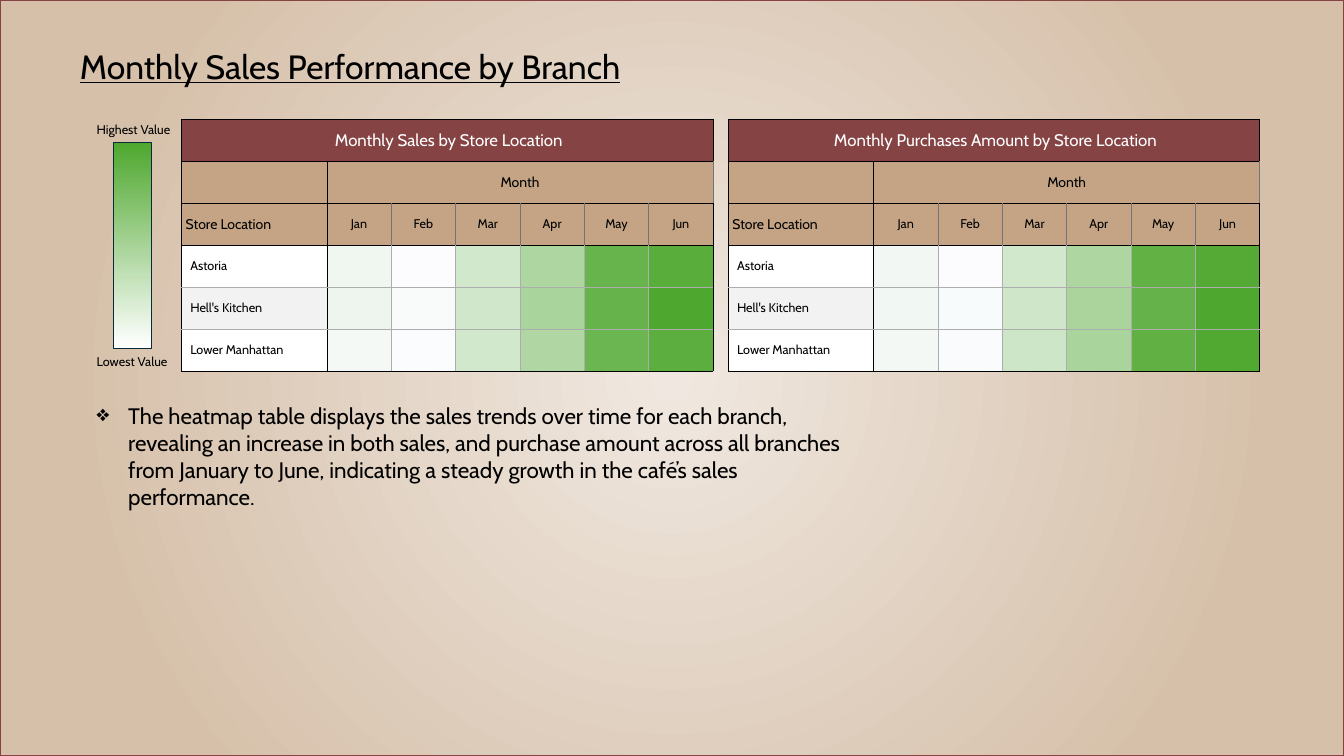
from dataclasses import dataclass

from lxml.etree import SubElement
from pptx import Presentation
from pptx.dml.color import RGBColor
from pptx.enum.shapes import MSO_SHAPE
from pptx.enum.text import MSO_ANCHOR, PP_ALIGN
from pptx.oxml.ns import qn
from pptx.util import Pt


@dataclass(frozen=True)
class Theme:
    font: str = "Cabin"
    ink: str = "000000"
    paper: str = "FFFFFF"
    band: str = "F2F2F2"
    maroon: str = "854344"
    frame: str = "854343"
    tan: str = "C4A484"
    green: str = "4EA72E"
    legend_edge: str = "092A39"
    month_rule: str = "747474"
    value_rule: str = "ADADAD"
    glow: str = "F0E8E0"
    sand: str = "D6C0AA"
    title: int = 24
    body: int = 16
    table_title: int = 12
    header: int = 10
    small: int = 9


MONTHS = ["Jan", "Feb", "Mar", "Apr", "May", "Jun"]
STORES = ["Astoria", "Hell's Kitchen", "Lower Manhattan"]
SALES_SHADES = [
    "F0F7F1 FCFCFF D2E8CD AED6A1 67B44C 59AD3B",
    "EEF5EE F9FBFB D1E7CB A9D49C 66B34B 4EA72E",
    "F5F9F6 FBFCFE D2E8CC B0D7A3 6BB651 5CAE3F",
]
PURCHASE_SHADES = [
    "F2F7F3 FCFCFF D2E8CD ADD6A0 61B145 54AA35",
    "F1F7F2 F8FBFB CFE6C8 AAD49C 64B249 4EA72E",
    "F3F8F4 F9FBFC CEE6C8 A9D49B 60B044 51A932",
]
STORE_WIDTH, MONTH_WIDTH, ROW_HEIGHT = 104, 46, 30
HEADER_ROWS = 3


class SlideBuilder:
    def __init__(self, slide, theme):
        self.slide = slide
        self.theme = theme

    def style(self, paragraph, size, color, underline=None):
        font = paragraph.font
        font.name = self.theme.font
        font.size = Pt(size)
        font.color.rgb = RGBColor.from_string(color)
        font.underline = underline

    def gradient(self, fill, stops):
        fill.gradient()
        for stop, (position, color) in zip(fill.gradient_stops, stops):
            stop.position = position
            stop.color.rgb = RGBColor.from_string(color)

    def background(self):
        self.gradient(self.slide.background.fill,
                      [(0, self.theme.glow), (0.78, self.theme.sand)])
        glow = self.slide.element.find(".//" + qn("a:gradFill"))
        glow.remove(glow.find(qn("a:lin")))
        circle = SubElement(glow, qn("a:path"), path="circle")
        SubElement(circle, qn("a:fillToRect"), l="50000", t="50000", r="50000", b="50000")

    def rectangle(self, left, top, width, height, edge, weight, stops=None):
        box = self.slide.shapes.add_shape(
            MSO_SHAPE.RECTANGLE, Pt(left), Pt(top), Pt(width), Pt(height))
        box.shadow.inherit = False
        box.line.color.rgb = RGBColor.from_string(edge)
        box.line.width = Pt(weight)
        if stops:
            self.gradient(box.fill, stops)
            box.fill.gradient_angle = 90
        else:
            box.fill.background()

    def text(self, left, top, width, height, words, size, underline=None, bullet=None):
        frame = self.slide.shapes.add_textbox(
            Pt(left), Pt(top), Pt(width), Pt(height)).text_frame
        frame.word_wrap = True
        paragraph = frame.paragraphs[0]
        paragraph.text = words
        if bullet:
            paragraph.space_after = Pt(12)
            properties = paragraph._p.get_or_add_pPr()
            properties.set("marL", str(Pt(22.5)))
            properties.set("indent", str(Pt(-22.5)))
            SubElement(properties, qn("a:buChar"), char=bullet)
        self.style(paragraph, size, self.theme.ink, underline)

    def borders(self, cell, row, column):
        theme = self.theme

        def side(edge):
            if edge in (0, 1, len(MONTHS) + 1):
                return theme.ink
            return theme.month_rule if row < HEADER_ROWS else theme.value_rule

        def level(edge):
            between_stores = HEADER_ROWS < edge < HEADER_ROWS + len(STORES)
            return theme.value_rule if between_stores else theme.ink

        properties = cell._tc.get_or_add_tcPr()
        edges = {"lnL": side(column), "lnR": side(column + 1),
                 "lnT": level(row), "lnB": level(row + 1)}
        for tag, color in edges.items():
            line = SubElement(properties, qn("a:" + tag), w=str(Pt(0.5)))
            SubElement(SubElement(line, qn("a:solidFill")), qn("a:srgbClr"), val=color)

    def cell(self, cell, words, fill, size, color, inset, centered):
        cell.margin_left = Pt(inset)
        cell.margin_right = cell.margin_top = Pt(0.72)
        cell.margin_bottom = Pt(0)
        cell.vertical_anchor = MSO_ANCHOR.MIDDLE
        cell.fill.solid()
        cell.fill.fore_color.rgb = RGBColor.from_string(fill)
        paragraph = cell.text_frame.paragraphs[0]
        if words:
            paragraph.text = words
        paragraph.alignment = PP_ALIGN.CENTER if centered else PP_ALIGN.LEFT
        self.style(paragraph, size, color)

    def heatmap(self, left, top, title, shades):
        theme = self.theme
        months = len(MONTHS)
        words = [[title] + [""] * months,
                 ["", "Month"] + [""] * (months - 1),
                 ["Store Location"] + MONTHS]
        words += [[store] + [""] * months for store in STORES]
        fills = [[theme.maroon] * (months + 1)] + [[theme.tan] * (months + 1)] * 2
        fills += [[theme.band if index % 2 else theme.paper] + row.split()
                  for index, row in enumerate(shades)]
        table = self.slide.shapes.add_table(
            len(words), months + 1, Pt(left), Pt(top),
            Pt(STORE_WIDTH + months * MONTH_WIDTH), Pt(len(words) * ROW_HEIGHT)).table
        table.first_row = table.horz_banding = False
        for index, column in enumerate(table.columns):
            column.width = Pt(MONTH_WIDTH if index else STORE_WIDTH)
        for row, (row_words, row_fills) in enumerate(zip(words, fills)):
            table.rows[row].height = Pt(ROW_HEIGHT)
            for column, (label, fill) in enumerate(zip(row_words, row_fills)):
                cell = table.cell(row, column)
                self.borders(cell, row, column)
                size = theme.small
                if row == 0:
                    size = theme.table_title
                elif row == 1 or (row == 2 and column == 0):
                    size = theme.header
                inset = 0.72
                if column == 0:
                    inset = 6.48 if row >= HEADER_ROWS else 3.2
                self.cell(cell, label, fill, size, theme.ink if row else theme.paper,
                          inset, row == 0 or column > 0)
        table.cell(0, 0).merge(table.cell(0, months))
        table.cell(1, 1).merge(table.cell(1, months))


def main():
    deck = Presentation()
    deck.slide_width, deck.slide_height = Pt(960), Pt(540)
    theme = Theme()
    page = SlideBuilder(deck.slides.add_slide(deck.slide_layouts[6]), theme)
    page.background()
    page.rectangle(81, 101.5, 27, 147, theme.legend_edge, 0.25,
                   [(0, theme.paper), (1, theme.green)])
    for top, label in [(83.5, "Highest Value"), (249, "Lowest Value")]:
        page.text(62, top, 73.5, 18, label, theme.small)
    page.heatmap(520, 85, "Monthly Purchases Amount by Store Location", PURCHASE_SHADES)
    page.heatmap(129.5, 85, "Monthly Sales by Store Location", SALES_SHADES)
    page.text(50, 29, 500, 36, "Monthly Sales Performance by Branch",
              theme.title, underline=True)
    page.text(62, 284, 553, 85,
              "The heatmap table displays the sales trends over time for each branch, "
              "revealing an increase in both sales, and purchase amount across all branches "
              "from January to June, indicating a steady growth in the café’s sales "
              "performance.", theme.body, bullet="❖")
    page.rectangle(0, 0, 960, 540, theme.frame, 1.5)
    deck.save("out.pptx")


if __name__ == "__main__":
    main()
